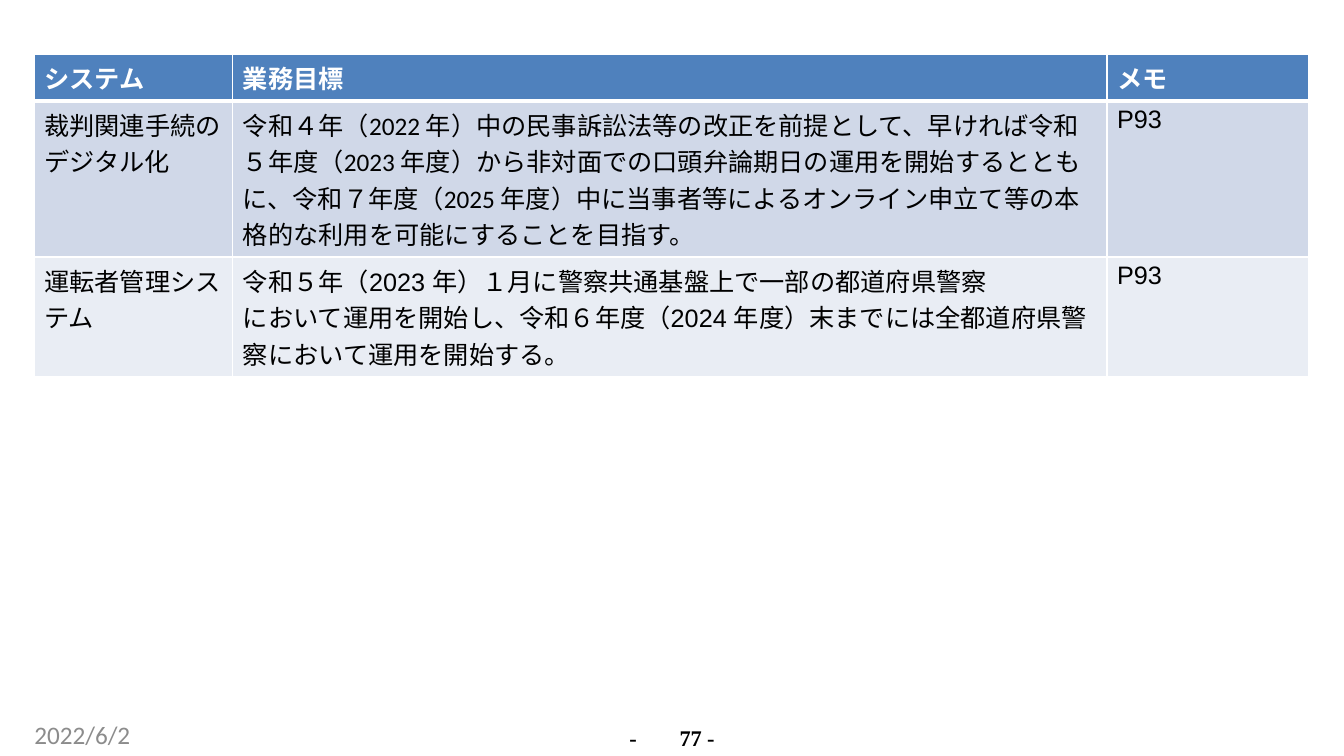
from lxml import etree
from pptx import Presentation
from pptx.dml.color import RGBColor
from pptx.enum.text import PP_ALIGN
from pptx.oxml.ns import qn
from pptx.util import Inches, Pt

CENTER = PP_ALIGN.CENTER
HEX = {
    "white": "FFFFFF", "black": "000000", "gray": "8C8C8C",
    "head": "4F81BD", "odd": "D0D8E8", "even": "E9EDF4",
}
ASIAN = "Noto Sans CJK JP"
ROWS = [
    ("システム", "業務目標", "メモ"),
    (
        "裁判関連手続のデジタル化",
        "令和４年（2022 年）中の民事訴訟法等の改正を前提として、早ければ令和５年度（2023 年度）から"
        "非対面での口頭弁論期日の運用を開始するとともに、令和７年度（2025 年度）中に当事者等による"
        "オンライン申立て等の本格的な利用を可能にすることを目指す。",
        "P93",
    ),
    (
        "運転者管理システム",
        "令和５年（2023 年）１月に警察共通基盤上で一部の都道府県警察\n"
        "において運用を開始し、令和６年度（2024 年度）末までには全都道府県警察において運用を開始する。",
        "P93",
    ),
]
FILLS = ["head", "odd", "even"]
WIDTHS = [1.97, 8.67, 2]
HEIGHTS = [0.45, 1.54, 1.18]
LEFT, TOP = 0.34, 0.54
DATE = "2022/6/2"
PAGE = "-\t77 -"


def color(name):
    return RGBColor.from_string(HEX[name])


def style(frame, face, size, ink, bold=False):
    for para in frame.paragraphs:
        for run in para.runs:
            font = run.font
            font.name, font.size, font.bold = face, Pt(size), bold
            font.color.rgb = color(ink)
            props = run._r.get_or_add_rPr()
            etree.SubElement(props, qn("a:ea"), typeface=ASIAN)


def edge(cell, base):
    """Draw white borders; base is the width of the bottom one in points."""
    props = cell._tc.get_or_add_tcPr()
    for side, width in (("L", 1), ("R", 1), ("T", 1), ("B", base)):
        line = etree.SubElement(props, qn("a:ln" + side), w=str(Pt(width)))
        fill = etree.SubElement(line, qn("a:solidFill"))
        etree.SubElement(fill, qn("a:srgbClr"), val=HEX["white"])


def add_text(slide, text, box):
    frame = slide.shapes.add_textbox(*map(Inches, box)).text_frame
    frame.margin_left = frame.margin_right = 0
    frame.margin_top = frame.margin_bottom = 0
    frame.word_wrap = True
    frame.text = text
    return frame


def add_goals(slide):
    size = (sum(WIDTHS), sum(HEIGHTS))
    table = slide.shapes.add_table(
        len(ROWS), len(WIDTHS), *map(Inches, (LEFT, TOP, *size))
    ).table
    for col, width in zip(table.columns, WIDTHS):
        col.width = Inches(width)
    for r, (row, height) in enumerate(zip(ROWS, HEIGHTS)):
        table.rows[r].height = Inches(height)
        head = r == 0
        for c, text in enumerate(row):
            cell = table.cell(r, c)
            cell.text_frame.text = text
            face = "Calibri" if (r, c) == (1, 1) else "Arial"
            style(cell.text_frame, face, 18, "white" if head else "black", head)
            edge(cell, 3 if head or r == 0 else 1)
            if r == 1:
                top = cell._tc.tcPr.find(qn("a:lnT"))
                top.set("w", str(Pt(3)))
            cell.fill.solid()
            cell.fill.fore_color.rgb = color(FILLS[r])


def add_page(slide):
    frame = add_text(slide, PAGE, (6.23, 7.19, 0.86, 0.25))
    para = frame.paragraphs[0]
    para.alignment = CENTER
    para.line_spacing = Pt(18.4)
    props = para._p.get_or_add_pPr()
    props.set("marL", str(Inches(0.01)))
    props.set("indent", "0")
    tabs = etree.SubElement(props, qn("a:tabLst"))
    etree.SubElement(tabs, qn("a:tab"), pos=str(Inches(0.24)), algn="l")
    style(frame, "Times New Roman", 16, "black", True)
    for run in para.runs:
        run._r.get_or_add_rPr().set("spc", "-10")


def main():
    deck = Presentation()
    deck.slide_width, deck.slide_height = Inches(13.33), Inches(7.5)
    slide = deck.slides.add_slide(deck.slide_layouts[6])
    add_goals(slide)
    add_page(slide)
    style(add_text(slide, DATE, (LEFT, 7.14, 3.07, 0.3)), "Calibri", 18, "gray")
    deck.save("out.pptx")


if __name__ == "__main__":
    main()
